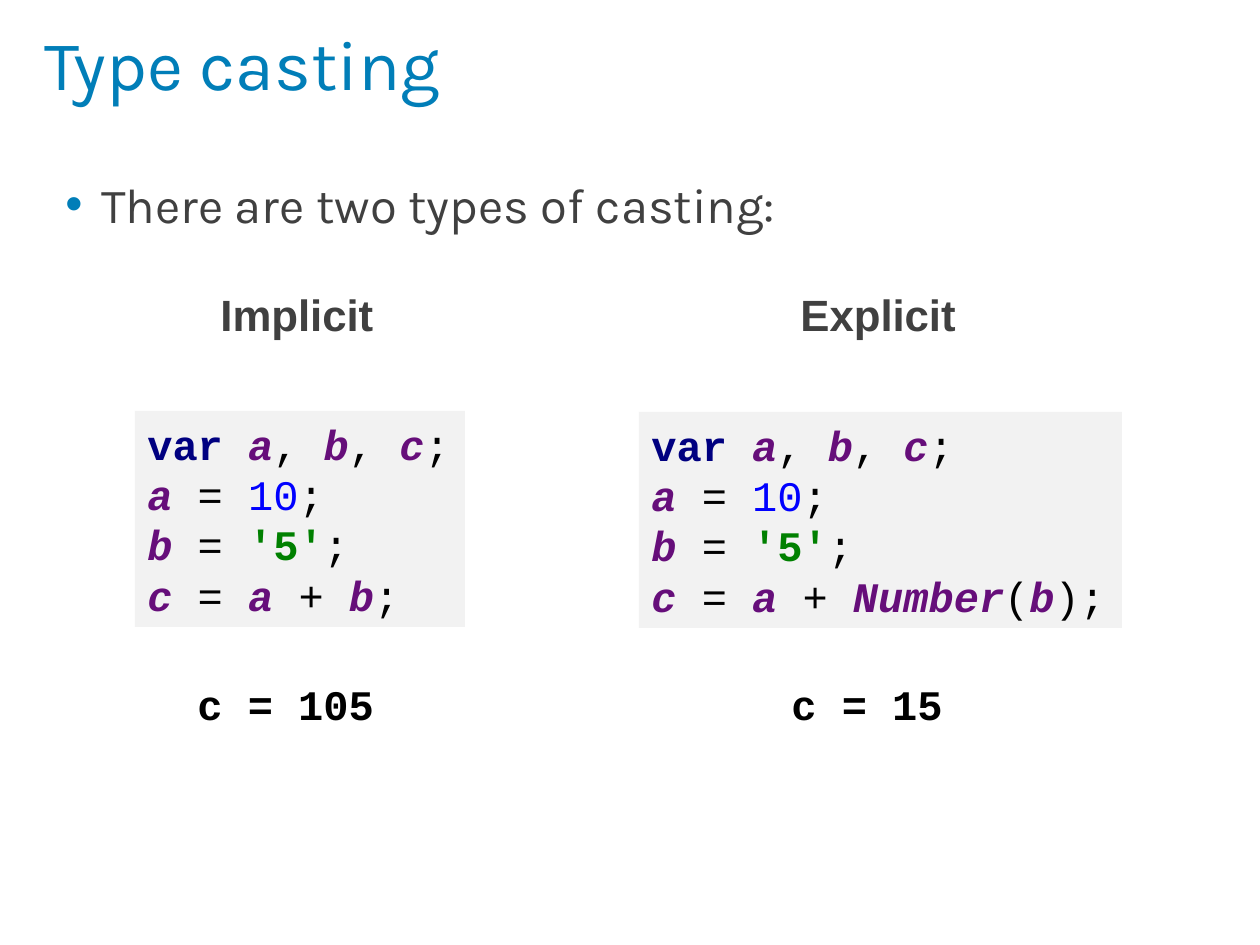
from lxml import etree
from pptx import Presentation
from pptx import util as u
from pptx.dml.color import RGBColor
from pptx.enum import shapes, text
from pptx.oxml import ns

BLUE = RGBColor(0x01, 0x7E, 0xB8)
GREY = RGBColor(0x40, 0x40, 0x40)
PANEL = RGBColor(0xF2, 0xF2, 0xF2)
BLACK = RGBColor(0, 0, 0)
NAVY = RGBColor(0, 0, 0x80)
PURPLE = RGBColor(0x66, 0x0E, 0x7A)
NUMBER_BLUE = RGBColor(0, 0, 0xFF)
GREEN = RGBColor(0, 0x80, 0)

KEYWORD = (NAVY, True, False)
NAME = (PURPLE, True, True)
PLAIN = (BLACK, False, False)
NUMBER = (NUMBER_BLUE, False, False)
STRING = (GREEN, True, False)

DECLARATIONS = [
    [("var ", KEYWORD), ("a", NAME), (", ", PLAIN), ("b", NAME),
     (", ", PLAIN), ("c", NAME), (";", PLAIN)],
    [("a ", NAME), ("= ", PLAIN), ("10", NUMBER), (";", PLAIN)],
    [("b ", NAME), ("= ", PLAIN), ("'5'", STRING), (";", PLAIN)],
]
SUM = [("c ", NAME), ("= ", PLAIN), ("a ", NAME), ("+ ", PLAIN)]
IMPLICIT_SUM = SUM + [("b", NAME), (";", PLAIN)]
EXPLICIT_SUM = SUM + [("Number", NAME), ("(", PLAIN), ("b", NAME), (");", PLAIN)]


def px(length):
    return u.Emu(round(length * 914400 / 126))


class SlideBuilder:
    sans = "Karla"
    heading_font = "Arial"
    mono = "Courier New"

    def __init__(self, presentation):
        self.slide = presentation.slides.add_slide(presentation.slide_layouts[6])

    def text_box(self, box, content, font, size, color, bold=False, wrap=True,
                 anchor=text.MSO_ANCHOR.TOP, spacing=None, bullet_indent=0):
        shape = self.slide.shapes.add_textbox(*map(px, box))
        frame = shape.text_frame
        frame.word_wrap = wrap
        frame.vertical_anchor = anchor
        paragraph = frame.paragraphs[0]
        paragraph.text = content
        if spacing:
            paragraph.line_spacing = spacing
        if bullet_indent:
            self.bullet(paragraph, bullet_indent)
        paragraph.font.name = font
        paragraph.font.size = u.Pt(size)
        paragraph.font.bold = bold
        paragraph.font.color.rgb = color

    def bullet(self, paragraph, indent):
        properties = paragraph._p.get_or_add_pPr()
        properties.set("marL", str(px(indent)))
        properties.set("indent", str(-px(indent)))
        color = etree.SubElement(properties, ns.qn("a:buClr"))
        etree.SubElement(color, ns.qn("a:srgbClr"), val=str(BLUE))
        etree.SubElement(properties, ns.qn("a:buFont"), typeface="Arial")
        etree.SubElement(properties, ns.qn("a:buChar"), char="•")

    def title(self, box, content):
        self.text_box(box, content, self.sans, 40, BLUE,
                      anchor=text.MSO_ANCHOR.MIDDLE)

    def bullet_line(self, box, content):
        self.text_box(box, content, self.sans, 28, GREY,
                      spacing=0.8, bullet_indent=36)

    def heading(self, box, content):
        self.text_box(box, content, self.heading_font, 25, GREY,
                      bold=True, spacing=0.8)

    def result(self, box, content):
        self.text_box(box, content, self.mono, 24, BLACK, bold=True, wrap=False)

    def code(self, box, lines):
        shape = self.slide.shapes.add_shape(
            shapes.MSO_SHAPE.RECTANGLE, *map(px, box))
        shape.shadow.inherit = False
        shape.fill.solid()
        shape.fill.fore_color.rgb = PANEL
        shape.line.fill.background()
        frame = shape.text_frame
        frame.word_wrap = False
        frame.auto_size = text.MSO_AUTO_SIZE.SHAPE_TO_FIT_TEXT
        frame.vertical_anchor = text.MSO_ANCHOR.MIDDLE
        paragraph = frame.paragraphs[0]
        paragraph.alignment = text.PP_ALIGN.LEFT
        paragraph.font.name = self.mono
        paragraph.font.size = u.Pt(24)
        for index, line in enumerate(lines):
            if index:
                paragraph.add_line_break()
            for content, (color, bold, italic) in line:
                run = paragraph.add_run()
                run.text = content
                run.font.color.rgb = color
                run.font.bold = bold
                run.font.italic = italic


def main():
    presentation = Presentation()
    presentation.slide_width = px(1260)
    presentation.slide_height = px(945)
    builder = SlideBuilder(presentation)
    builder.title((32, 0, 1134, 126), "Type casting")
    builder.bullet_line((53, 180, 1134, 73), "There are two types of casting:")
    columns = [
        ("Implicit", 208, IMPLICIT_SUM, (135, 411, 330, 216),
         "c = 105", (185, 672, 228, 63)),
        ("Explicit", 788, EXPLICIT_SUM, (639, 412, 483, 216),
         "c = 15", (779, 672, 203, 63)),
    ]
    for heading, left, last_line, code_box, result, result_box in columns:
        builder.heading((left, 292, 185, 73), heading)
        builder.code(code_box, DECLARATIONS + [last_line])
        builder.result(result_box, result)
    presentation.save("out.pptx")


if __name__ == "__main__":
    main()
